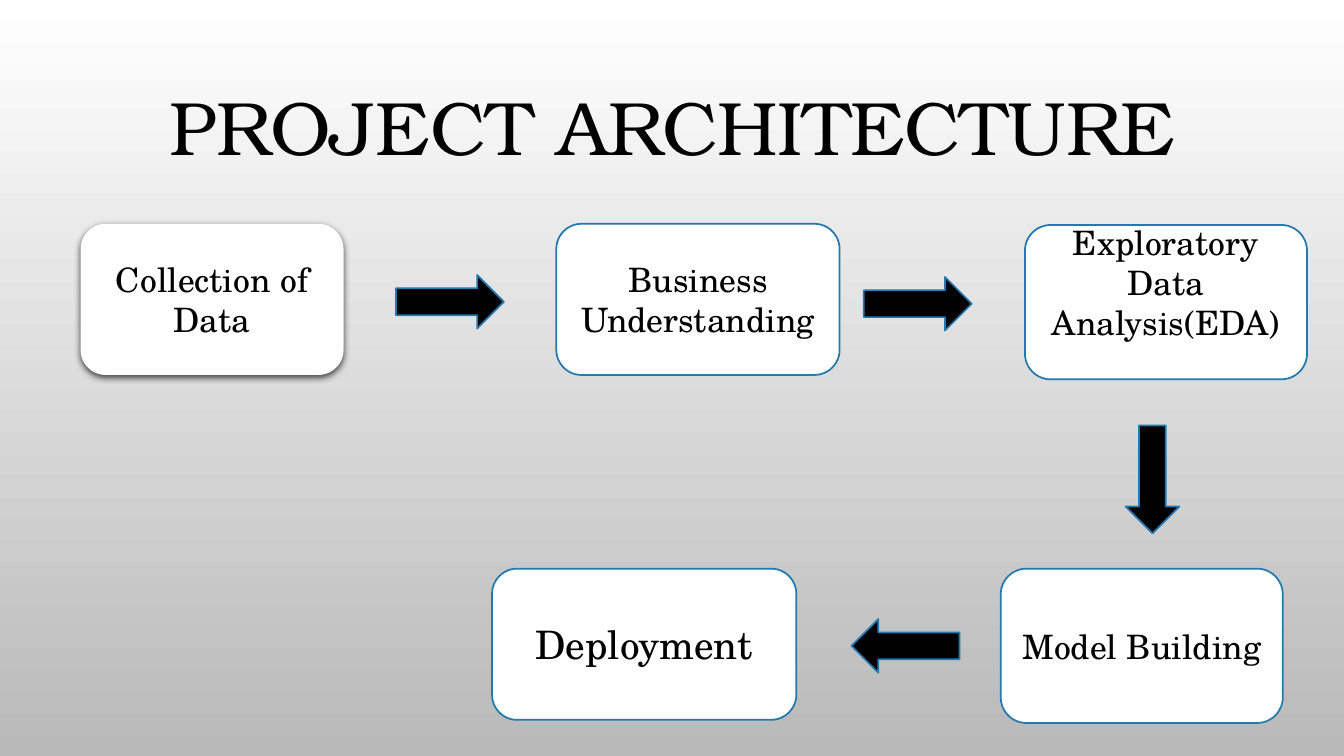
from lxml.etree import SubElement
from pptx import Presentation
from pptx.dml.color import RGBColor
from pptx.enum.shapes import MSO_SHAPE as Shape
from pptx.enum.text import MSO_ANCHOR as Anchor, MSO_AUTO_SIZE as AutoSize, PP_ALIGN as Align
from pptx.oxml.ns import qn
from pptx.util import Cm, Pt

BLACK, WHITE, BLUE, GREY = "000000", "FFFFFF", "2379B0", "B9B9B9"
BODY_FONT, TITLE_FONT = "TeX Gyre Schola", "TeX Gyre Bonum"

STEPS = [
    ("Collection of Data", (2.03, 5.64, 6.63, 3.81), 24),
    ("Business Understanding", (14.02, 5.64, 7.14, 3.81), 24),
    ("Exploratory Data Analysis(EDA)", (25.83, 5.67, 7.11, 3.89), 24),
    ("Model Building", (25.22, 14.33, 7.11, 3.89), 24),
    ("Deployment", (12.4, 14.33, 7.67, 3.81), 28),
]
ARROWS = [
    (Shape.RIGHT_ARROW, (9.98, 6.93, 2.72, 1.35)),
    (Shape.RIGHT_ARROW, (21.77, 6.98, 2.72, 1.35)),
    (Shape.DOWN_ARROW, (28.37, 10.72, 1.35, 2.72)),
    (Shape.LEFT_ARROW, (21.46, 15.6, 2.72, 1.35)),
]


def color(value):
    return RGBColor.from_string(value)


def set_all(target, values):
    for name, value in values.items():
        setattr(target, name, value)


def paint_background(page):
    fill = page.background.fill
    fill.gradient()
    fill.gradient_angle = 270
    for stop, position, value in zip(fill.gradient_stops, (0, 1), (WHITE, GREY)):
        stop.position = position
        stop.color.rgb = color(value)


def write(box, text, font, size):
    para = box.text_frame.paragraphs[0]
    para.alignment = Align.CENTER
    span = para.add_run()
    span.text = text
    set_all(span.font, {"name": font, "size": Pt(size)})
    span.font.color.rgb = color(BLACK)


def add_title(page, text):
    box = page.shapes.add_textbox(Cm(3.38), Cm(1.88), Cm(27.13), Cm(2.57))
    set_all(box.text_frame, {"word_wrap": False, "auto_size": AutoSize.SHAPE_TO_FIT_TEXT})
    write(box, text, TITLE_FONT, 54)


def add_block(page, kind, place, fill):
    block = page.shapes.add_shape(kind, *map(Cm, place))
    block.shadow.inherit = False
    block.fill.solid()
    block.fill.fore_color.rgb = color(fill)
    block.line.color.rgb = color(BLUE)
    block.line.width = Pt(1.25)
    return block


def add_step(page, text, place, size):
    box = add_block(page, Shape.ROUNDED_RECTANGLE, place, WHITE)
    set_all(box.text_frame, {"word_wrap": True, "vertical_anchor": Anchor.MIDDLE})
    write(box, text, BODY_FONT, size)
    return box


def drop_shadow(box):
    effects = box._element.spPr.find(qn("a:effectLst"))
    shadow = SubElement(effects, qn("a:outerShdw"), blurRad=str(Pt(5)),
                        dist=str(Pt(2)), dir="5400000", rotWithShape="0")
    tint = SubElement(shadow, qn("a:srgbClr"), val=BLACK)
    SubElement(tint, qn("a:alpha"), val="69000")


def main():
    deck = Presentation()
    set_all(deck, {"slide_width": Cm(33.87), "slide_height": Cm(19.05)})
    page = deck.slides.add_slide(deck.slide_layouts[6])
    paint_background(page)
    add_title(page, "PROJECT ARCHITECTURE")

    collection, _, exploration, *_ = [add_step(page, *step) for step in STEPS]
    collection.line.fill.background()
    drop_shadow(collection)
    set_all(exploration.text_frame, {"margin_top": Cm(0), "margin_bottom": Cm(1.02)})

    for kind, place in ARROWS:
        add_block(page, kind, place, BLACK)
    deck.save("out.pptx")


if __name__ == "__main__":
    main()
